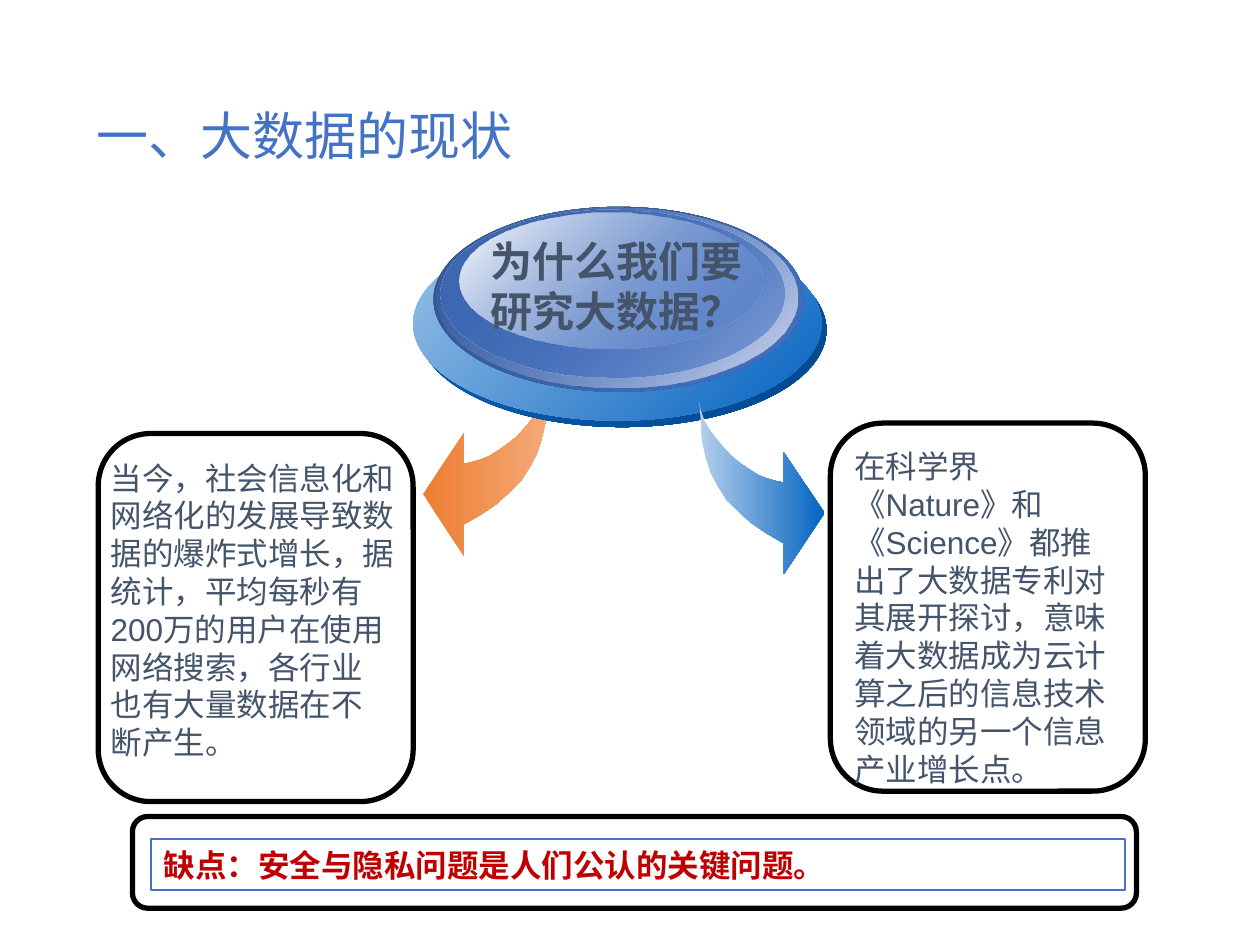
from lxml import etree
from pptx import Presentation
from pptx.dml.color import RGBColor
from pptx.enum.shapes import MSO_SHAPE
from pptx.enum.text import MSO_ANCHOR, PP_ALIGN
from pptx.oxml.ns import qn
from pptx.util import Cm, Pt

OVAL, RECT, ROUND = MSO_SHAPE.OVAL, MSO_SHAPE.RECTANGLE, MSO_SHAPE.ROUNDED_RECTANGLE
TOP, MIDDLE, LEFT = MSO_ANCHOR.TOP, MSO_ANCHOR.MIDDLE, PP_ALIGN.LEFT

BLACK = RGBColor(0x00, 0x00, 0x00)
WHITE = RGBColor(0xFF, 0xFF, 0xFF)
BLUE = RGBColor(0x44, 0x72, 0xC4)
MID_BLUE = RGBColor(0x3D, 0x67, 0xB1)
DARK_BLUE = RGBColor(0x31, 0x52, 0x8C)
STRONG_BLUE = RGBColor(0x05, 0x63, 0xC1)
SHADE_BLUE = RGBColor(0x04, 0x48, 0x8D)
SOFT_BLUE = RGBColor(0x9B, 0xC2, 0xE6)
PALE_BLUE = RGBColor(0xB4, 0xD0, 0xEC)
MIST = RGBColor(0xD6, 0xDB, 0xED)
ORANGE = RGBColor(0xED, 0x7D, 0x31)
PALE_ORANGE = RGBColor(0xF4, 0xA9, 0x79)
SLATE = RGBColor(0x44, 0x54, 0x6A)
RED = RGBColor(0xC0, 0x00, 0x00)

LATIN, CJK = "Arial", "Noto Sans CJK SC"

# Each disc: left, top, width, height, then (colour, opacity in %) for both ends
DISCS = [
    (8.43, 4.70, 8.23, 3.91, (STRONG_BLUE, 100), (SHADE_BLUE, 100)),
    (8.33, 4.57, 8.23, 3.91, (SOFT_BLUE, 100), (STRONG_BLUE, 100)),
    (8.74, 4.17, 7.47, 3.73, (DARK_BLUE, 100), (BLUE, 100)),
    (8.81, 4.19, 7.26, 3.63, (BLUE, 0), (MIST, 100)),
    (8.89, 4.22, 6.93, 3.40, (MID_BLUE, 100), (BLUE, 48)),
    (9.27, 4.29, 6.10, 2.74, (WHITE, 100), (BLUE, 38)),
]

# Outline of a curved arrow in cm, measured outwards and down from its tail
ARROW = [
    (0, 0), (0.03, 0.38), (0.05, 0.74), (0.13, 1.09), (0.23, 1.4), (0.38, 1.68),
    (0.56, 1.96), (0.79, 2.18), (1.04, 2.41), (1.35, 2.62), (1.7, 2.82),
    (1.7, 3.45), (2.52, 2.21), (1.7, 0.99), (1.7, 1.6), (1.55, 1.57),
    (1.37, 1.52), (1.19, 1.45), (1, 1.33), (0.81, 1.2), (0.64, 1.06),
    (0.48, 0.89), (0.33, 0.71), (0.2, 0.53), (0.1, 0.36), (0.03, 0.15),
]

QUESTION = ["为什么我们要", "研究大数据？"]
GROWTH = [
    "当今，社会信息化和", "网络化的发展导致数", "据的爆炸式增长，据", "统计，平均每秒有",
    "200万的用户在使用", "网络搜索，各行业", "也有大量数据在不", "断产生。",
]
SCIENCE = ["在科学界《Nature》和《Science》都推出了大数据专利对其展开探讨，"
           "意味着大数据成为云计算之后的信息技术领域的另一个信息产业增长点。"]
DRAWBACK = ["缺点：安全与隐私问题是人们公认的关键问题。"]


def set_gradient(sp, start, end, angle):
    """Fill from start to end, each a (colour, opacity in %) pair; angle is clockwise."""
    sp.fill.gradient()
    grad = sp._element.spPr.find(qn("a:gradFill"))
    for child in list(grad):
        grad.remove(child)
    stops = etree.SubElement(grad, qn("a:gsLst"))
    for pos, (color, opacity) in ((0, start), (100000, end)):
        stop = etree.SubElement(stops, qn("a:gs"), pos=str(pos))
        clr = etree.SubElement(stop, qn("a:srgbClr"), val=str(color))
        if opacity < 100:
            etree.SubElement(clr, qn("a:alpha"), val=str(opacity * 1000))
    etree.SubElement(grad, qn("a:lin"), ang=str(angle * 60000), scaled="0")


def add_shape(s, kind, box, line=None, width=1):
    sp = s.shapes.add_shape(kind, *map(Cm, box))
    sp.shadow.inherit = False
    sp.fill.background()
    if line is None:
        sp.line.fill.background()
    else:
        sp.line.color.rgb = line
        sp.line.width = Pt(width)
    return sp


def add_arrow(s, x, y, direction, left_color, right_color):
    """Draw the curved arrow from its tail; direction is -1 for left, 1 for right."""
    points = [(Cm(x + direction * dx), Cm(y + dy)) for dx, dy in ARROW]
    builder = s.shapes.build_freeform(*points[0])
    builder.add_line_segments(points[1:], close=True)
    sp = builder.convert_to_shape()
    sp.shadow.inherit = False
    sp.line.fill.background()
    set_gradient(sp, (left_color, 100), (right_color, 100), 0)


def write(sp, lines, size, color, font=LATIN, bold=False, anchor=TOP, wrap=True):
    tf = sp.text_frame
    tf.word_wrap = wrap
    tf.vertical_anchor = anchor
    for i, line in enumerate(lines):
        p = tf.add_paragraph() if i else tf.paragraphs[0]
        p.alignment = LEFT
        r = p.add_run()
        r.text = line
        r.font.name = font
        r.font.size = Pt(size)
        r.font.bold = bold
        r.font.color.rgb = color
        etree.SubElement(r.font._element, qn("a:ea"), typeface=CJK)


def add_text(s, box, lines, size, color, **options):
    sp = s.shapes.add_textbox(*map(Cm, box))
    write(sp, lines, size, color, **options)
    return sp


def add_medallion(s):
    for *box, start, end in DISCS:
        set_gradient(add_shape(s, OVAL, box), start, end, 45)
    add_text(s, (9.63, 4.62, 5.66, 2.31), QUESTION, 24, SLATE, bold=True, wrap=False)


def add_panel(s, box, text_box, lines):
    add_shape(s, ROUND, box, BLACK, 3)
    add_text(s, text_box, lines, 18, SLATE)


def add_drawback(s):
    add_shape(s, ROUND, (2.67, 16.46, 20.24, 1.85), BLACK, 3)
    sp = add_shape(s, RECT, (3.05, 16.92, 19.63, 1.02), BLUE)
    sp.fill.solid()
    sp.fill.fore_color.rgb = WHITE
    write(sp, DRAWBACK, 18, RED, font=CJK, bold=True, anchor=MIDDLE)


def main():
    prs = Presentation()
    prs.slide_width, prs.slide_height = Cm(25.4), Cm(19.05)
    s = prs.slides.add_slide(prs.slide_layouts[6])

    title = add_text(s, (1.7, 2.13, 10.21, 1.35), ["一、大数据的现状"], 29.7, BLUE,
                     font=CJK, anchor=MIDDLE)
    title.text_frame.paragraphs[0].line_spacing = 0.9

    add_arrow(s, 11.05, 7.75, -1, ORANGE, PALE_ORANGE)
    add_medallion(s)
    add_arrow(s, 14.1, 8.13, 1, PALE_BLUE, STRONG_BLUE)
    add_panel(s, (1.98, 8.74, 6.35, 7.42), (1.98, 9.12, 6.4, 6.4), GROWTH)
    add_panel(s, (16.74, 8.53, 6.35, 7.42), (16.97, 8.89, 5.66, 6.4), SCIENCE)
    add_drawback(s)

    prs.save("out.pptx")


if __name__ == "__main__":
    main()
